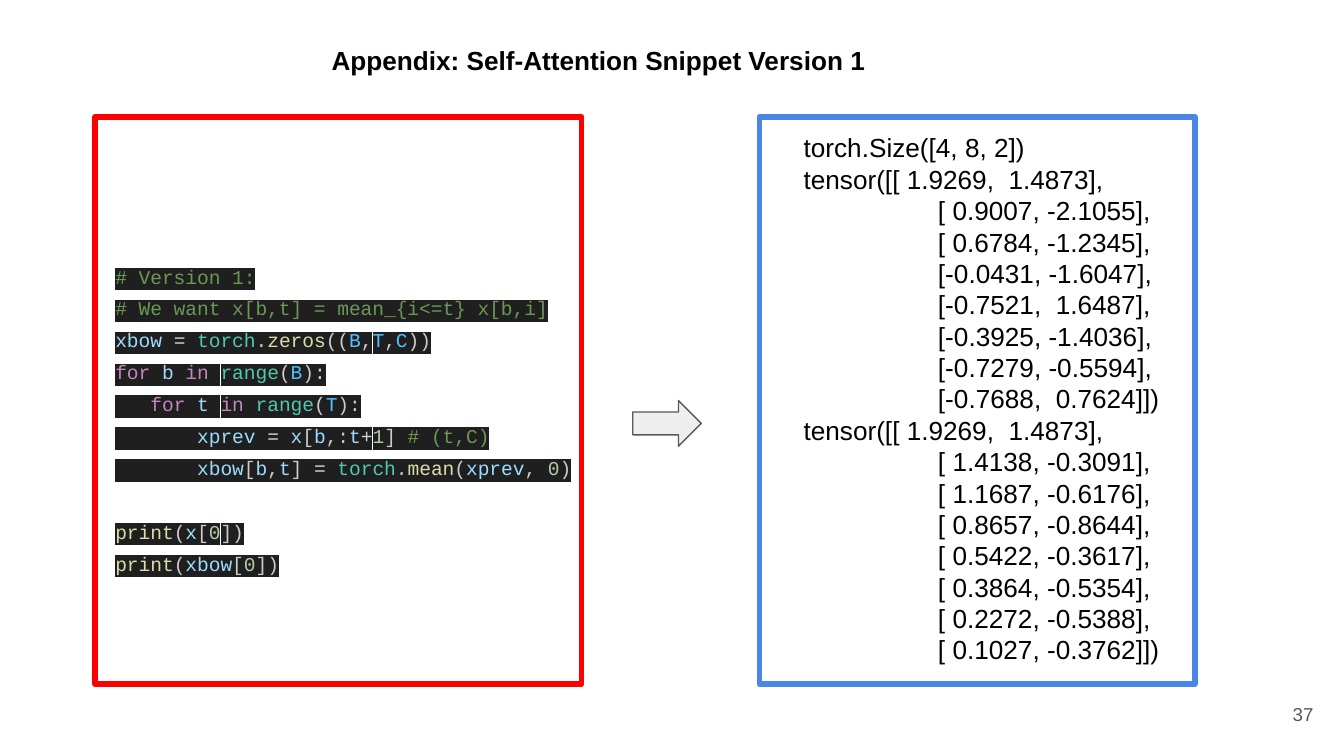
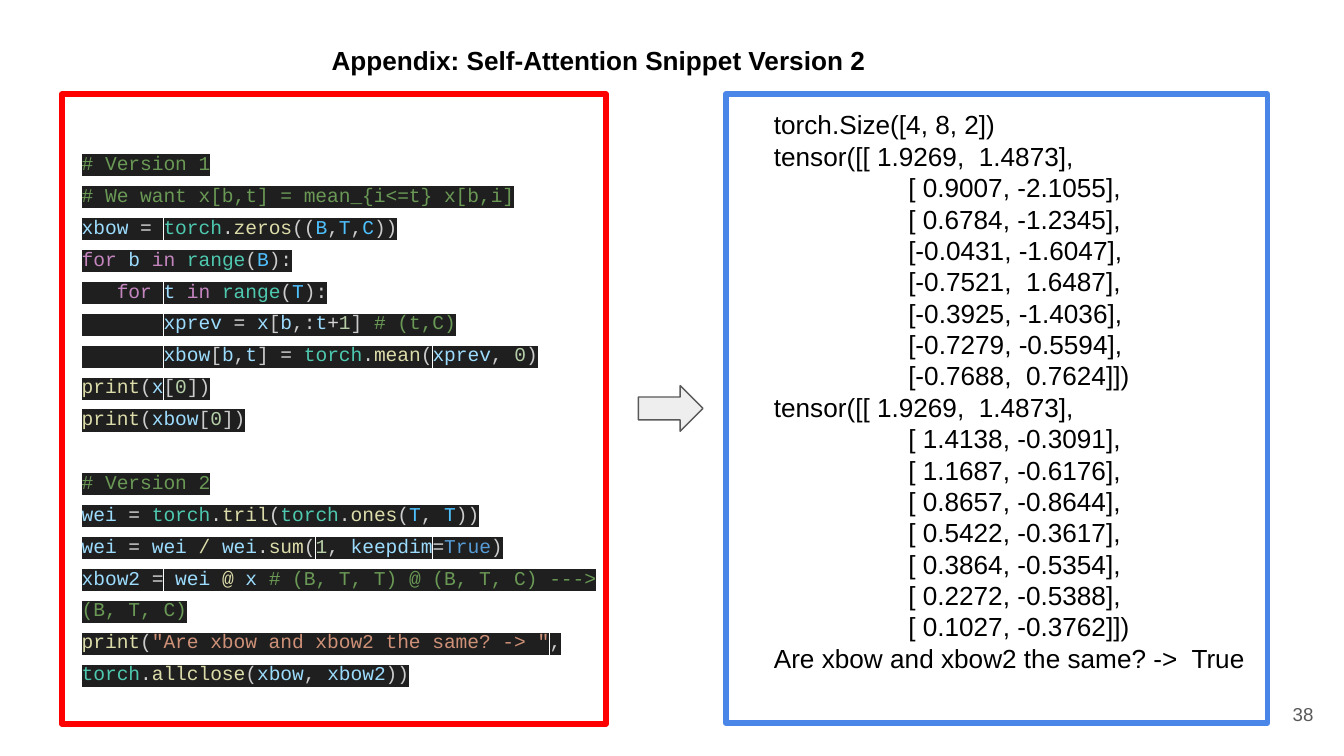
import itertools
from dataclasses import dataclass

import pptx
import pptx.dml.color
import pptx.enum.shapes
import pptx.enum.text
import pptx.oxml
import pptx.oxml.ns
import pptx.util

Pt = pptx.util.Pt
SHAPE = pptx.enum.shapes.MSO_SHAPE
ALIGN = pptx.enum.text.PP_ALIGN
ANCHOR = pptx.enum.text.MSO_ANCHOR


@dataclass(frozen=True)
class Theme:
    body_font: str = "Arial"
    code_font: str = "Courier New"
    title_size: float = 14
    output_size: float = 14
    code_size: float = 10.5
    number_size: float = 10
    code_spacing: float = 1.36
    code_line: float = 17
    output_indent: float = 72
    inset: float = 7.2
    frame_width: float = 3
    arrow_width: float = 0.75
    text: str = "000000"
    muted: str = "595959"
    arrow_fill: str = "EEEEEE"
    code_frame: str = "FF0000"
    output_frame: str = "4A86E8"
    code_back: str = "1F1F1F"
    comment: str = "6A9955"
    string: str = "CE9178"
    keyword: str = "C586C0"
    module: str = "4EC9B0"
    function: str = "DCDCAA"
    constant: str = "4FC1FF"
    boolean: str = "569CD6"
    number: str = "B5CEA8"
    variable: str = "9CDCFE"
    operator: str = "D4D4D4"
    punctuation: str = "CCCCCC"


THEME = Theme()

# Syntax colours: words and symbols that differ from plain names and punctuation
SYNTAX = {
    word: colour
    for words, colour in (
        ("for in", THEME.keyword),
        ("torch range", THEME.module),
        ("print zeros mean tril ones sum allclose / @", THEME.function),
        ("B T C", THEME.constant),
        ("True", THEME.boolean),
        ("= +", THEME.operator),
    )
    for word in words.split()
}


def rgb(colour):
    return pptx.dml.color.RGBColor.from_string(colour)


def token_colour(token):
    if token.isdigit():
        return THEME.number
    plain = THEME.variable if token[0].isalnum() else THEME.punctuation
    return SYNTAX.get(token, plain)


def coloured_tokens(line):
    """Yield (text, colour) for each piece of one line of code."""
    code, mark, comment = line.partition("#")
    for index, part in enumerate(code.split('"')):
        if index % 2:
            yield f'"{part}"', THEME.string
            continue
        for is_word, characters in itertools.groupby(part, str.isalnum):
            characters = list(characters)
            for token in ["".join(characters)] if is_word else characters:
                yield token, token_colour(token)
    if mark:
        yield mark + comment, THEME.comment


class SlideBuilder:
    def __init__(self, presentation, theme):
        self.presentation = presentation
        self.theme = theme
        self.slide = None

    def new_slide(self, title, number):
        self.slide = self.presentation.slides.add_slide(self.presentation.slide_layouts[6])
        theme = self.theme
        frame = self.text_box(self.slide.shapes, (170.5, 16.6, 330.5, 33))
        frame.text = title
        self.style(frame.paragraphs[0].runs[0], theme.title_size, theme.text, bold=True)

        frame = self.text_box(self.slide.shapes, (667.5, 367.2, 43.2, 31))
        frame.vertical_anchor = ANCHOR.MIDDLE
        frame.text = str(number)
        frame.paragraphs[0].alignment = ALIGN.RIGHT
        self.style(frame.paragraphs[0].runs[0], theme.number_size, theme.muted)

    def style(self, run, size, colour, font=None, bold=None):
        run.font.size = Pt(size)
        run.font.name = font or self.theme.body_font
        run.font.bold = bold
        run.font.color.rgb = rgb(colour)

    def text_box(self, shapes, box):
        frame = shapes.add_textbox(*map(Pt, box)).text_frame
        frame.word_wrap = True
        inset = Pt(self.theme.inset)
        frame.margin_left = frame.margin_right = inset
        frame.margin_top = frame.margin_bottom = inset
        return frame

    def shape(self, shapes, kind, box, line, width, fill=None):
        shape = shapes.add_shape(kind, *map(Pt, box))
        shape.shadow.inherit = False
        shape.line.color.rgb = rgb(line)
        shape.line.width = Pt(width)
        if fill:
            shape.fill.solid()
            shape.fill.fore_color.rgb = rgb(fill)
        else:
            shape.fill.background()

    def panel(self, frame_box, text_box, colour):
        """Add a framed group and return its text frame."""
        shapes = self.slide.shapes.add_group_shape().shapes
        text_frame = self.text_box(shapes, text_box)
        self.shape(shapes, SHAPE.RECTANGLE, frame_box, colour, self.theme.frame_width)
        return text_frame

    def highlight(self, run):
        namespace = pptx.oxml.ns.nsdecls("a")
        element = pptx.oxml.parse_xml(
            f'<a:highlight {namespace}><a:srgbClr val="{self.theme.code_back}"/></a:highlight>'
        )
        run.font._element.find(pptx.oxml.ns.qn("a:solidFill")).addnext(element)

    def code_panel(self, frame_box, text_box, blocks):
        theme = self.theme
        frame = self.panel(frame_box, text_box, theme.code_frame)
        lines = [(line, index) for block in blocks for index, line in enumerate(block)]
        for position, (line, index) in enumerate(lines):
            paragraph = frame.add_paragraph() if position else frame.paragraphs[0]
            paragraph.line_spacing = theme.code_spacing
            if position and index == 0:
                paragraph.space_before = Pt(theme.code_line)
            for colour, tokens in itertools.groupby(coloured_tokens(line), lambda pair: pair[1]):
                run = paragraph.add_run()
                run.text = "".join(text for text, _ in tokens)
                self.style(run, theme.code_size, colour, theme.code_font)
                self.highlight(run)

    def output_panel(self, frame_box, text_box, lines):
        theme = self.theme
        frame = self.panel(frame_box, text_box, theme.output_frame)
        frame.text = "\n".join(lines)
        for paragraph in frame.paragraphs:
            if paragraph.text.startswith("["):
                properties = paragraph._p.get_or_add_pPr()
                properties.set("marL", str(Pt(theme.output_indent)))
                properties.set("indent", "0")
            self.style(paragraph.runs[0], theme.output_size, theme.text)

    def arrow(self, box):
        theme = self.theme
        self.shape(self.slide.shapes, SHAPE.RIGHT_ARROW, box,
                   theme.muted, theme.arrow_width, theme.arrow_fill)


# Code and output shared by both slides
LOOP = [
    "# We want x[b,t] = mean_{i<=t} x[b,i]",
    "xbow = torch.zeros((B,T,C))",
    "for b in range(B):",
    "   for t in range(T):",
    "       xprev = x[b,:t+1] # (t,C)",
    "       xbow[b,t] = torch.mean(xprev, 0)",
]
PRINTS = ["print(x[0])", "print(xbow[0])"]
MATRIX = [
    "# Version 2",
    "wei = torch.tril(torch.ones(T, T))",
    "wei = wei / wei.sum(1, keepdim=True)",
    "xbow2 = wei @ x # (B, T, T) @ (B, T, C) ---> (B, T, C)",
    'print("Are xbow and xbow2 the same? -> ", torch.allclose(xbow, xbow2))',
]
OUTPUT = [
    "torch.Size([4, 8, 2])",
    "tensor([[ 1.9269,  1.4873],",
    "[ 0.9007, -2.1055],",
    "[ 0.6784, -1.2345],",
    "[-0.0431, -1.6047],",
    "[-0.7521,  1.6487],",
    "[-0.3925, -1.4036],",
    "[-0.7279, -0.5594],",
    "[-0.7688,  0.7624]])",
    "tensor([[ 1.9269,  1.4873],",
    "[ 1.4138, -0.3091],",
    "[ 1.1687, -0.6176],",
    "[ 0.8657, -0.8644],",
    "[ 0.5422, -0.3617],",
    "[ 0.3864, -0.5354],",
    "[ 0.2272, -0.5388],",
    "[ 0.1027, -0.3762]])",
]


def main():
    presentation = pptx.Presentation()
    presentation.slide_width = Pt(720)
    presentation.slide_height = Pt(405)
    builder = SlideBuilder(presentation, THEME)

    # Version 1: loop
    builder.new_slide("Appendix: Self-Attention Snippet Version 1", 37)
    builder.code_panel((51, 62.6, 260.6, 304), (54.7, 130, 272, 220),
                       [["# Version 1:", *LOOP], PRINTS])
    builder.output_panel((406.8, 62.6, 233.3, 304), (423.4, 63.4, 253.4, 303), OUTPUT)
    builder.arrow((339, 214.6, 36.7, 24.5))

    # Version 2: matrix product
    builder.new_slide("Appendix: Self-Attention Snippet Version 2", 38)
    builder.code_panel((33.1, 50.4, 291.6, 337.5), (36.7, 69.1, 305.3, 301.7),
                       [["# Version 1", *LOOP, *PRINTS], MATRIX])
    builder.output_panel((388.8, 50.4, 290.2, 337), (407.5, 51.1, 290.2, 319.7),
                         [*OUTPUT, "Are xbow and xbow2 the same? ->  True"])
    builder.arrow((342, 206.6, 34.6, 24.5))

    presentation.save("out.pptx")


if __name__ == "__main__":
    main()
